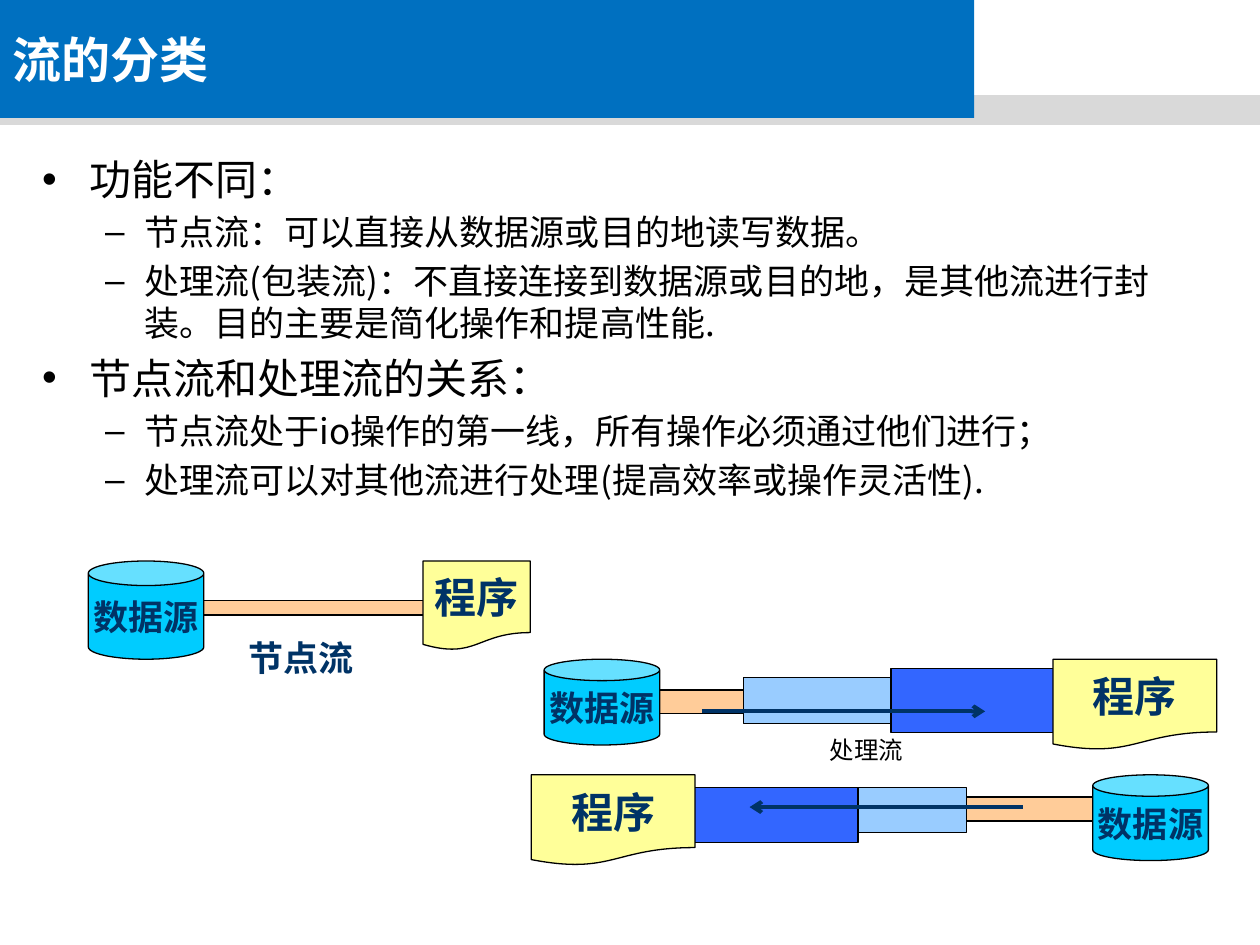
from dataclasses import dataclass

from pptx import Presentation
from pptx.dml.color import RGBColor
from pptx.enum.shapes import MSO_CONNECTOR, MSO_SHAPE
from pptx.enum.text import MSO_ANCHOR, PP_ALIGN
from pptx.oxml.ns import qn
from pptx.util import Cm, Pt
from lxml.etree import SubElement


@dataclass(frozen=True)
class Theme:
    title_fill: str = "0070C0"
    band: str = "D9D9D9"
    white: str = "FFFFFF"
    black: str = "000000"
    navy: str = "003366"
    source: str = "00CCFF"
    program: str = "FFFF99"
    node: str = "FFCC99"
    inner: str = "99CCFF"
    outer: str = "3366FF"
    title_font: str = "Arial"
    body_font: str = "Noto Sans CJK SC"
    label_font: str = "Times New Roman"
    note_font: str = "Courier New"
    title_size: int = 28
    large: int = 24
    medium: int = 20
    small: int = 14
    outline: float = 0.75
    arrow: float = 2.25


THEME = Theme()

TITLE = "流的分类"
OUTLINE = [
    (0, "功能不同："),
    (1, "节点流：可以直接从数据源或目的地读写数据。"),
    (1, "处理流(包装流)：不直接连接到数据源或目的地，是其他流进行封装。目的主要是简化操作和提高性能."),
    (0, "节点流和处理流的关系："),
    (1, "节点流处于io操作的第一线，所有操作必须通过他们进行；"),
    (1, "处理流可以对其他流进行处理(提高效率或操作灵活性)."),
]
LEVELS = [
    dict(bullet="•", indent=0.95, hanging=0.95, size=THEME.large),
    dict(bullet="–", indent=2.06, hanging=0.79, size=THEME.medium),
]
KINDS = {
    "node": (MSO_SHAPE.RECTANGLE, THEME.node, "", 0),
    "inner": (MSO_SHAPE.RECTANGLE, THEME.inner, "", 0),
    "outer": (MSO_SHAPE.RECTANGLE, THEME.outer, "", 0),
    "source": (MSO_SHAPE.CAN, THEME.source, "数据源", THEME.medium),
    "program": (MSO_SHAPE.FLOWCHART_DOCUMENT, THEME.program, "程序", THEME.large),
}
NODE_STREAM = [
    ("node", 3.96, 12.1, 4.67, 0.3),
    ("program", 8.53, 11.31, 2.16, 1.8),
    ("source", 1.78, 11.31, 2.33, 1.98),
]
READING_STREAM = [
    ("node", 13.11, 13.91, 8.33, 0.48),
    ("inner", 14.99, 13.66, 2.97, 0.92),
    ("outer", 17.96, 13.48, 3.38, 1.29),
    ("source", 10.97, 13.29, 2.33, 1.73),
    ("program", 21.23, 13.29, 3.3, 1.83),
]
WRITING_STREAM = [
    ("node", 13.72, 16.07, 8.33, 0.48),
    ("inner", 16.51, 15.87, 2.97, 0.92),
    ("outer", 13.92, 15.87, 3.38, 1.11),
    ("program", 10.71, 15.62, 3.3, 1.83),
    ("source", 22.03, 15.62, 2.33, 1.73),
]
ARROWS = [(14.15, 19.86, 14.34), (20.62, 15.11, 16.27)]
LABELS = [
    ("节点流", (4.76, 12.7, 2.64, 1.09),
     dict(size=THEME.medium, font=THEME.label_font, color=THEME.navy, bold=True)),
    ("处理流", (16.48, 14.7, 2.44, 1.02),
     dict(size=THEME.small, font=THEME.note_font, color=THEME.black)),
]


def write_text(paragraph, text, *, size, font, color, bold=False, align=PP_ALIGN.LEFT):
    paragraph.alignment = align
    run = paragraph.add_run()
    run.text = text
    run.font.size = Pt(size)
    run.font.bold = bold
    run.font.name = font
    run.font.color.rgb = RGBColor.from_string(color)
    east_asian = SubElement(run.font._element, qn("a:ea"))
    east_asian.set("typeface", THEME.body_font)


def add_block(slide, preset, box, fill, outlined=True):
    shape = slide.shapes.add_shape(preset, *map(Cm, box))
    shape.shadow.inherit = False
    shape.fill.solid()
    shape.fill.fore_color.rgb = RGBColor.from_string(fill)
    if outlined:
        shape.line.color.rgb = RGBColor.from_string(THEME.black)
        shape.line.width = Pt(THEME.outline)
    else:
        shape.line.fill.background()
    return shape


def add_header(slide):
    add_block(slide, MSO_SHAPE.RECTANGLE, (0, 1.92, 25.4, 0.6), THEME.band, outlined=False)
    title = add_block(slide, MSO_SHAPE.RECTANGLE, (0, 0, 19.64, 2.38), THEME.title_fill, outlined=False)
    title.text_frame.vertical_anchor = MSO_ANCHOR.MIDDLE
    write_text(title.text_frame.paragraphs[0], TITLE, size=THEME.title_size,
               font=THEME.title_font, color=THEME.white, bold=True)


def add_outline(slide):
    frame = slide.shapes.add_textbox(Cm(0.6), Cm(2.97), Cm(23.01), Cm(10.52)).text_frame
    frame.word_wrap = True
    for index, (level, text) in enumerate(OUTLINE):
        style = LEVELS[level]
        paragraph = frame.add_paragraph() if index else frame.paragraphs[0]
        paragraph.level = level
        paragraph.space_before = Pt(style["size"] * 0.2)
        properties = paragraph._p.get_or_add_pPr()
        properties.set("marL", str(Cm(style["indent"])))
        properties.set("indent", str(-Cm(style["hanging"])))
        SubElement(properties, qn("a:buFont")).set("typeface", THEME.title_font)
        SubElement(properties, qn("a:buChar")).set("char", style["bullet"])
        write_text(paragraph, text, size=style["size"], font=THEME.body_font, color=THEME.black)


def add_stream(slide, parts):
    for kind, *box in parts:
        preset, fill, text, size = KINDS[kind]
        shape = add_block(slide, preset, box, fill)
        if text:
            frame = shape.text_frame
            frame.word_wrap = False
            frame.vertical_anchor = MSO_ANCHOR.MIDDLE
            write_text(frame.paragraphs[0], text, size=size, font=THEME.label_font,
                       color=THEME.navy, bold=True, align=PP_ALIGN.CENTER)


def add_arrow(slide, start, end, height):
    connector = slide.shapes.add_connector(
        MSO_CONNECTOR.STRAIGHT, Cm(start), Cm(height), Cm(end), Cm(height))
    connector.line.color.rgb = RGBColor.from_string(THEME.navy)
    connector.line.width = Pt(THEME.arrow)
    SubElement(connector.line._get_or_add_ln(), qn("a:tailEnd")).set("type", "arrow")
    SubElement(connector._element.spPr, qn("a:effectLst"))


def add_label(slide, text, box, style):
    frame = slide.shapes.add_textbox(*map(Cm, box)).text_frame
    frame.word_wrap = False
    write_text(frame.paragraphs[0], text, **style)


def main():
    presentation = Presentation()
    presentation.slide_width, presentation.slide_height = Cm(25.4), Cm(19.05)
    slide = presentation.slides.add_slide(presentation.slide_layouts[6])
    add_header(slide)
    add_outline(slide)
    for parts in (NODE_STREAM, READING_STREAM, WRITING_STREAM):
        add_stream(slide, parts)
    for arrow in ARROWS:
        add_arrow(slide, *arrow)
    for label in LABELS:
        add_label(slide, *label)
    presentation.save("out.pptx")


if __name__ == "__main__":
    main()
